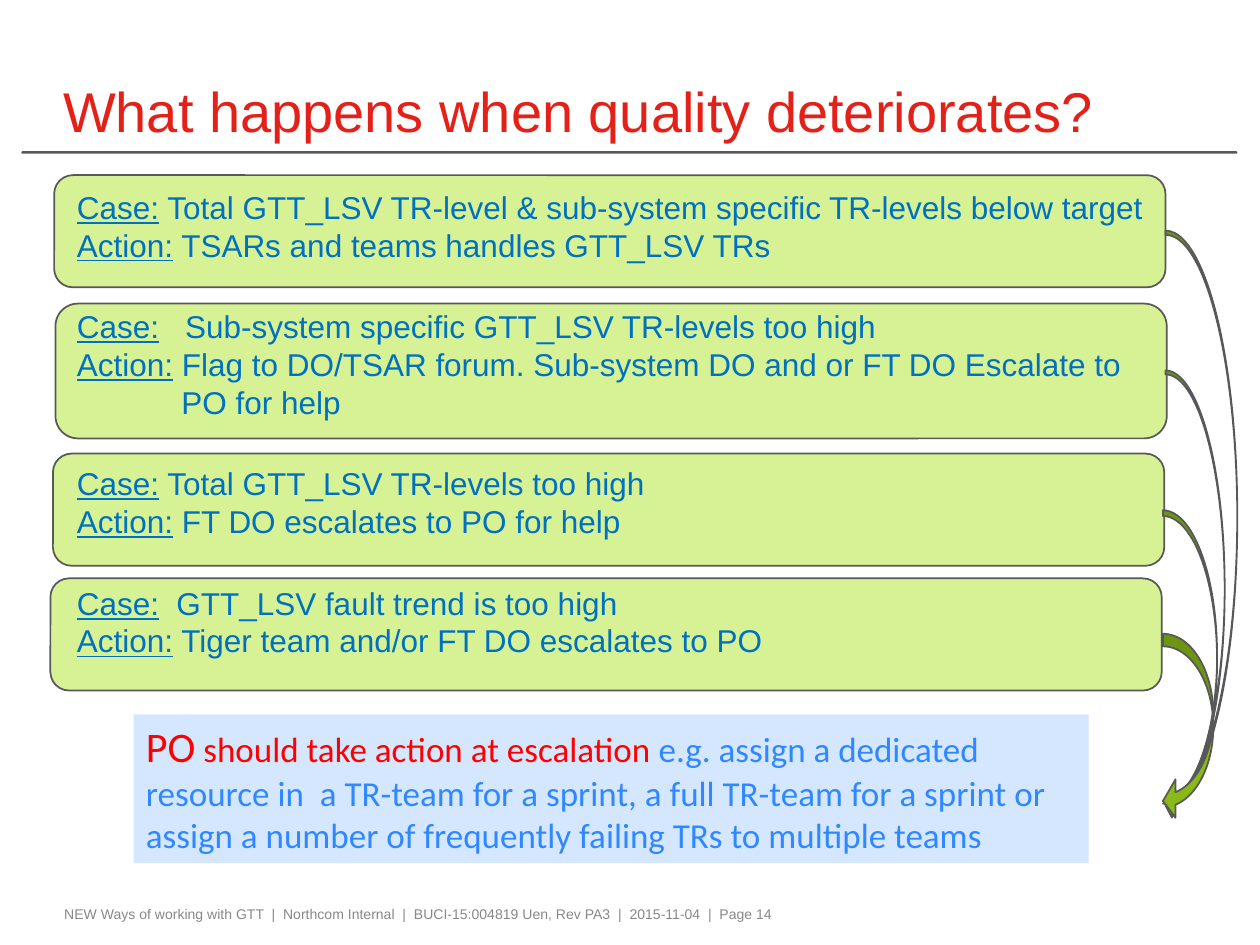
from lxml import etree
from pptx import Presentation
from pptx.dml.color import RGBColor
from pptx.enum import shapes, text
from pptx.oxml.ns import qn
from pptx.util import Inches, Pt

RED = RGBColor(0xE3, 0x21, 0x19)
ALERT = RGBColor(0xFF, 0x00, 0x00)
BLUE = RGBColor(0x00, 0x70, 0xC0)
SKY = RGBColor(0x2F, 0x88, 0xFF)
PALE = RGBColor(0xD5, 0xE7, 0xFF)
LIME = RGBColor(0xD6, 0xF2, 0x94)
GREEN = RGBColor(0x89, 0xBA, 0x17)
DARK = RGBColor(0x58, 0x58, 0x5A)
GREY = RGBColor(0x87, 0x88, 0x8A)

KIND = shapes.MSO_SHAPE
HANG = 0.94  # where wrapped action text lines up

# card box, case, case text start (None: one space after the label), action
CASES = [
    ((0.43, 1.39, 8.82, 0.89), None,
     "Total GTT_LSV TR-level & sub-system specific TR-levels below target",
     "TSARs and teams handles GTT_LSV TRs"),
    ((0.44, 2.41, 8.82, 1.07), 0.97,
     "Sub-system specific GTT_LSV TR-levels too high",
     "Flag to DO/TSAR forum. Sub-system DO and or FT DO Escalate to PO for help"),
    ((0.42, 3.6, 8.82, 0.89), None,
     "Total GTT_LSV TR-levels too high",
     "FT DO escalates to PO for help"),
    ((0.4, 4.59, 8.82, 0.89), 0.9,
     "GTT_LSV fault trend is too high",
     "Tiger team and/or FT DO escalates to PO"),
]

ARROWS = [
    ((9.23, 4.05, 0.43, 2.36), (0.107, 0.144, 0.25)),
    ((9.25, 2.94, 0.47, 3.56), (0.066, 0.459, 0.11)),
    ((9.25, 1.83, 0.57, 4.68), (0.059, 0.5, 0.135)),
    ((9.23, 5.03, 0.4, 1.48), (0.25, 0.761, 0.25)),
]


def style(font, name, size, color):
    font.name, font.size = name, Pt(size)
    font.color.rgb = color


def shape(slide, kind, box, fill, line=None, adj=()):
    item = slide.shapes.add_shape(kind, *map(Inches, box))
    item.shadow.inherit = False
    item.fill.solid()
    item.fill.fore_color.rgb = fill
    if line is None:
        item.line.fill.background()
    else:
        item.line.color.rgb = line
        item.line.width = Pt(1)
    for i, value in enumerate(adj):
        item.adjustments[i] = value
    return item


def place(item, box, anchor):
    """Move a text holder to its box and reset its frame."""
    item.left, item.top, item.width, item.height = map(Inches, box)
    frame = item.text_frame
    frame.word_wrap = True
    frame.auto_size = text.MSO_AUTO_SIZE.NONE
    frame.vertical_anchor = anchor
    frame.margin_left = frame.margin_right = Inches(0.08)
    frame.margin_top = frame.margin_bottom = 0
    return frame


def raise_up(slide, item):
    """Bring a placeholder in front of the shapes drawn so far."""
    slide.shapes._spTree.append(item._element)


def title(slide, box):
    item = slide.shapes.title
    raise_up(slide, item)
    frame = place(item, box, text.MSO_ANCHOR.BOTTOM)
    frame.text = "What happens when quality deteriorates?"
    para = frame.paragraphs[0]
    para.alignment = text.PP_ALIGN.LEFT
    style(para.font, "Arial", 32, RED)


def entry(para, label, words, start, tab, after):
    """Write one labelled line whose later lines hang at start."""
    props = para._p.get_or_add_pPr()
    props.set("marL", str(Inches(start)))
    props.set("indent", str(Inches(0.11 - start)))
    etree.SubElement(props, qn("a:buNone"))
    para.space_before, para.space_after = 0, Pt(after)
    style(para.font, "Arial", 18, BLUE)
    head = para.add_run()
    head.text = label
    head.font.underline = True
    para.add_run().text = ("\t" if tab else " ") + words


def cases(slide, box):
    for card, *_ in reversed(CASES):
        shape(slide, KIND.ROUNDED_RECTANGLE, card, LIME, DARK)
    item = slide.placeholders[1]
    raise_up(slide, item)
    frame = place(item, box, text.MSO_ANCHOR.TOP)
    para = frame.paragraphs[0]
    for i, (_, start, case, action) in enumerate(CASES):
        if i:
            para = frame.add_paragraph()
        entry(para, "Case:", case, start or HANG, start, 0)
        entry(frame.add_paragraph(), "Action:", action, HANG, None, 25)


def callout(slide, box):
    frame = shape(slide, KIND.RECTANGLE, box, PALE).text_frame
    frame.word_wrap = True
    frame.vertical_anchor = text.MSO_ANCHOR.TOP
    para = frame.paragraphs[0]
    para.alignment = text.PP_ALIGN.LEFT
    for words, size, color in (
        ("PO", 24, ALERT),
        (" should take action at escalation ", 20, ALERT),
        ("e.g. assign a dedicated resource in  a TR-team for a sprint, "
         "a full TR-team for a sprint or assign a number of frequently "
         "failing TRs to multiple teams", 20, SKY),
    ):
        run = para.add_run()
        run.text = words
        style(run.font, "Calibri", size, color)


def arrows(slide):
    for box, adj in ARROWS:
        shape(slide, KIND.CURVED_LEFT_ARROW, box, GREEN, DARK, adj)


def footer(slide, box):
    item = slide.shapes.add_textbox(*map(Inches, box))
    frame = place(item, box, text.MSO_ANCHOR.TOP)
    frame.margin_top = frame.margin_bottom = Inches(0.05)
    frame.text = ("NEW Ways of working with GTT  |  Northcom Internal  |  "
                  "BUCI-15:004819 Uen, Rev PA3  |  2015-11-04  |  Page 14")
    style(frame.paragraphs[0].font, "Arial", 8, GREY)


def main():
    deck = Presentation()
    deck.slide_width, deck.slide_height = Inches(10), Inches(7.5)
    slide = deck.slides.add_slide(deck.slide_layouts[1])
    shape(slide, KIND.ROUNDED_RECTANGLE, (0.17, 1.2, 9.65, 0.02), DARK, adj=(0.5,))
    footer(slide, (0.43, 7.14, 8.09, 0.24))
    title(slide, (0.42, 0.06, 8.56, 1.08))
    cases(slide, (0.42, 1.49, 8.83, 3.99))
    callout(slide, (1.06, 5.67, 7.58, 1.18))
    arrows(slide)
    deck.save("out.pptx")


if __name__ == "__main__":
    main()
